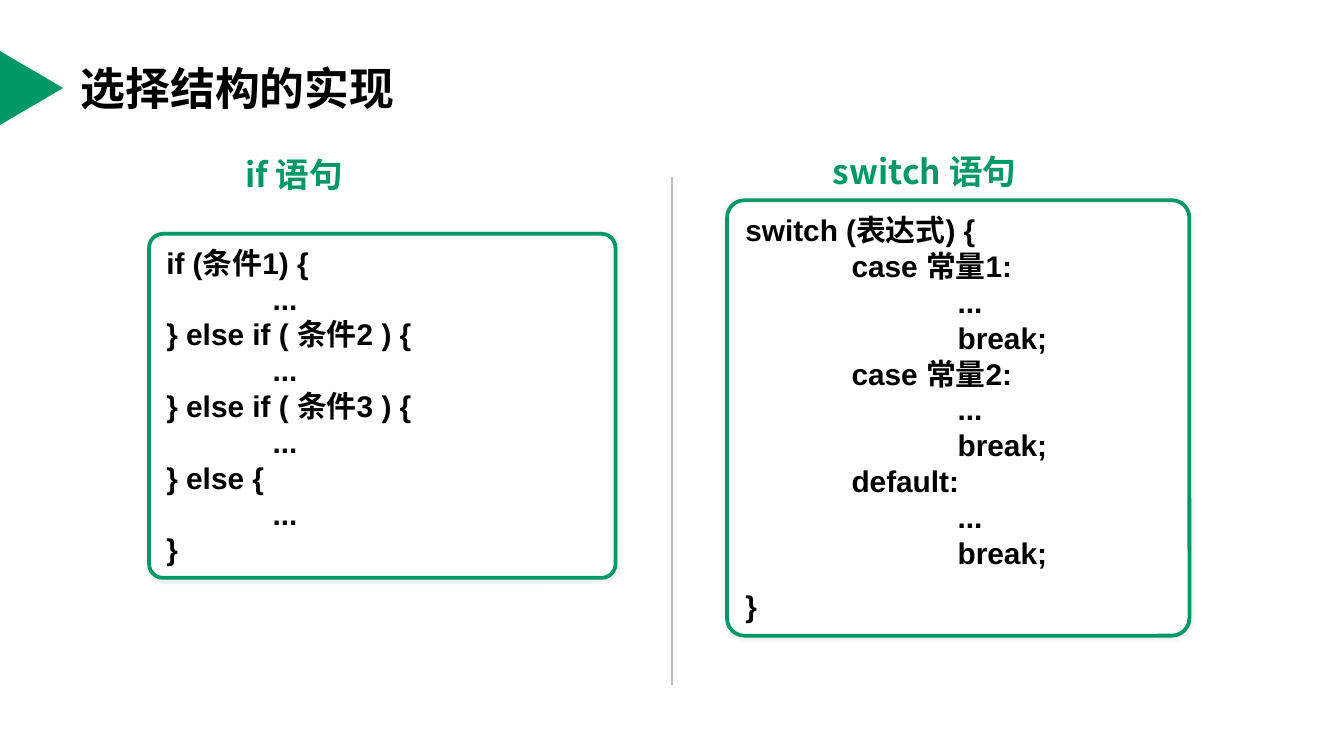
from dataclasses import dataclass

from lxml.etree import SubElement
from pptx import Presentation
from pptx.dml.color import RGBColor
from pptx.enum.shapes import MSO_CONNECTOR as CONN, MSO_SHAPE as SHAPE
from pptx.enum.text import MSO_ANCHOR as ANCHOR, MSO_AUTO_SIZE as AUTO, PP_ALIGN as ALIGN
from pptx.oxml.ns import qn
from pptx.util import Pt

PX = 4572  # EMU per px, 200 px to the inch


@dataclass(frozen=True)
class Theme:
    green: RGBColor = RGBColor(0x00, 0x99, 0x66)
    grey: RGBColor = RGBColor(0xBF, 0xBF, 0xBF)
    black: RGBColor = RGBColor(0, 0, 0)
    white: RGBColor = RGBColor(255, 255, 255)
    cjk: str = "Noto Sans CJK SC"
    latin: str = "Arial"
    title: int = 24
    heading: int = 18
    code: int = 16
    line: float = 19.2
    tab: int = 158  # px per code level


T = Theme()

# (level, code, line spacing factor)
IF_CODE = [
    (0, "if (条件1) {", 1),
    (1, "...", 1),
    (0, "} else if ( 条件2 ) {", 1),
    (1, "...", 1),
    (0, "} else if ( 条件3 ) {", 1),
    (1, "...", 1),
    (0, "} else {", 1),
    (1, "...", 1),
    (0, "}", 1),
]
CASE_BODY = [(2, "...", 1), (2, "break;", 1)]
SWITCH_CODE = [
    (0, "switch (表达式) {", 1),
    (1, "case 常量1:", 1), *CASE_BODY,
    (1, "case 常量2:", 1), *CASE_BODY,
    (1, "default:", 1), *CASE_BODY,
    (0, "}", 1.5),
]


def px(*values):
    return [v * PX for v in values]


def apply(obj, **values):
    for name, value in values.items():
        setattr(obj, name, value)


def add_run(p, text, size, color, font=T.cjk):
    r = p.add_run()
    r.text = text
    apply(r.font, name=font, size=Pt(size), bold=True)
    r.font.color.rgb = color
    SubElement(r.font._element, qn("a:ea"), typeface=T.cjk)


def set_title(slide, text, box):
    s = slide.shapes.title
    apply(s, **dict(zip(("left", "top", "width", "height"), px(*box))))
    apply(s.text_frame, vertical_anchor=ANCHOR.BOTTOM, auto_size=AUTO.NONE)
    p = s.text_frame.paragraphs[0]
    p.alignment = ALIGN.LEFT
    add_run(p, text, T.title, T.black)


def add_heading(slide, text, box):
    tf = slide.shapes.add_textbox(*px(*box)).text_frame
    apply(tf, word_wrap=True, vertical_anchor=ANCHOR.MIDDLE)
    p = tf.paragraphs[0]
    p.alignment = ALIGN.CENTER
    add_run(p, text, T.heading, T.green)


def add_glow_shadow(s):
    """Give the shape a faint, centred black shadow."""
    s.shadow.inherit = False
    effects = s._element.spPr.find(qn("a:effectLst"))
    shadow = SubElement(effects, qn("a:outerShdw"), blurRad=str(Pt(3)), dist="0", dir="0")
    color = SubElement(shadow, qn("a:srgbClr"), val=str(T.black))
    SubElement(color, qn("a:alpha"), val="10000")


def add_code_box(slide, code, box):
    s = slide.shapes.add_shape(SHAPE.ROUNDED_RECTANGLE, *px(*box))
    s.adjustments[0] = 0.04
    s.fill.solid()
    s.fill.fore_color.rgb = T.white
    s.line.color.rgb = T.green
    s.line.width = Pt(2)
    add_glow_shadow(s)
    tf = s.text_frame
    apply(tf, word_wrap=True, vertical_anchor=ANCHOR.TOP, auto_size=AUTO.SHAPE_TO_FIT_TEXT)
    for i, (level, text, factor) in enumerate(code):
        p = tf.add_paragraph() if i else tf.paragraphs[0]
        apply(p, alignment=ALIGN.LEFT, line_spacing=Pt(T.line * factor))
        p._p.get_or_add_pPr().set("marL", str(level * T.tab * PX))
        add_run(p, text, T.code, T.black, T.latin)


def add_marker(slide, box):
    s = slide.shapes.add_shape(SHAPE.ISOSCELES_TRIANGLE, *px(*box))
    s.rotation = 90
    s.shadow.inherit = False
    s.fill.solid()
    s.fill.fore_color.rgb = T.green
    s.line.fill.background()


def add_divider(slide, ends):
    c = slide.shapes.add_connector(CONN.STRAIGHT, *px(*ends))
    c.line.color.rgb = T.grey
    c.line.width = Pt(0.75)
    SubElement(c._element.spPr, qn("a:effectLst"))


def main():
    prs = Presentation()
    prs.slide_width, prs.slide_height = px(2000, 1125)
    slide = prs.slides.add_slide(prs.slide_layouts[5])

    add_marker(slide, (-8, 84, 110, 94))
    add_divider(slide, (1000, 264, 1000, 1020))
    set_title(slide, "选择结构的实现", (100, 75, 884, 106))
    add_heading(slide, "if 语句", (125, 212, 626, 94))
    add_code_box(slide, IF_CODE, (222, 348, 694, 512))
    add_heading(slide, "switch 语句", (1063, 208, 626, 94))
    add_code_box(slide, SWITCH_CODE, (1082, 298, 688, 648))

    prs.save("out.pptx")


if __name__ == "__main__":
    main()
